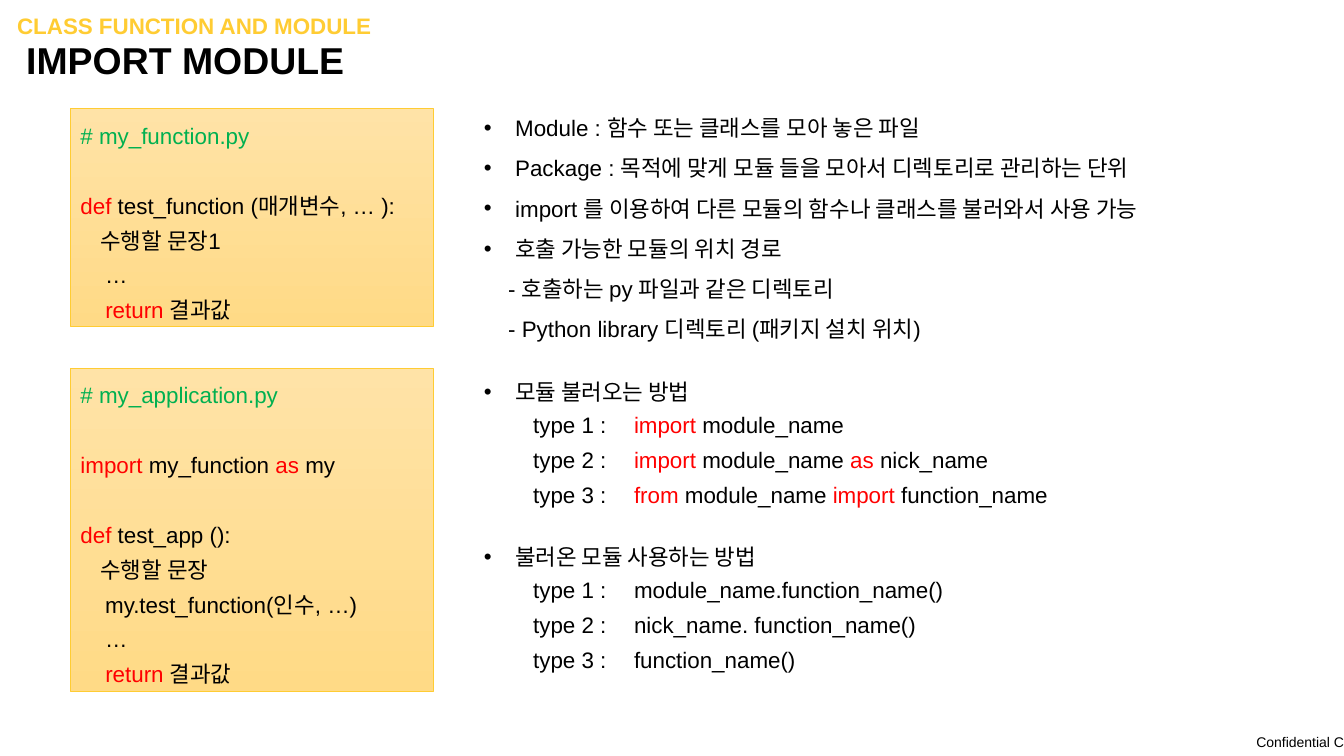
from pptx import Presentation
from pptx.dml.color import RGBColor
from pptx.enum.shapes import MSO_SHAPE as Shape
from pptx.enum.text import MSO_ANCHOR as Anchor, MSO_AUTO_SIZE as AutoSize, PP_ALIGN as Align
from pptx.oxml.ns import qn
from pptx.util import Inches, Pt
from lxml.etree import SubElement

BLACK = RGBColor(0x00, 0x00, 0x00)
RED = RGBColor(0xFF, 0x00, 0x00)
GREEN = RGBColor(0x00, 0xB0, 0x50)
GOLD = RGBColor(0xFF, 0xCC, 0x33)
SAND_LIGHT = RGBColor(0xFF, 0xE3, 0xA7)
SAND_DARK = RGBColor(0xFF, 0xDA, 0x86)

KICKER = "CLASS FUNCTION AND MODULE"
TITLE = "IMPORT MODULE"
FOOTER = "Confidential C"
KEYWORDS = {"def", "import", "as", "from", "return"}

FUNCTION_FILE = [
    ["# my_function.py"],
    [],
    ["def ", "test_function (매개변수, … ):"],
    ["    수행할 문장1"],
    ["    …"],
    ["    ", "return", " 결과값"],
]
APPLICATION_FILE = [
    ["# my_application.py"],
    [],
    ["import ", "my_function ", "as ", "my"],
    [],
    ["def ", "test_app ():"],
    ["    수행할 문장"],
    ["    my.test_function(인수, …)"],
    ["    …"],
    ["    ", "return", " 결과값"],
]
DEFINITIONS = [
    ["Module : 함수 또는 클래스를 모아 놓은 파일"],
    ["Package : 목적에 맞게 모듈 들을 모아서 디렉토리로 관리하는 단위"],
    ["import 를 이용하여 다른 모듈의 함수나 클래스를 불러와서 사용 가능"],
    ["호출 가능한 모듈의 위치 경로"],
    ["- 호출하는 py 파일과 같은 디렉토리"],
    ["- Python library 디렉토리 (패키지 설치 위치)"],
]
IMPORT_TYPES = [
    ["type 1 :\t", "import ", "module_name"],
    ["type 2 :\t", "import ", "module_name ", "as ", "nick_name"],
    ["type 3 :\t", "from ", "module_name ", "import ", "function_name"],
]
CALL_TYPES = [
    ["type 1 :\tmodule_name.function_name()"],
    ["type 2 :\tnick_name. function_name()"],
    ["type 3 :\tfunction_name()"],
]

WIDTH, HEIGHT = 13.33, 7.5
CODE_LEFT, CODE_WIDTH = 0.7, 3.6
LIST_LEFT, LIST_WIDTH = 4.7, 7.94
TYPE_LEFT, TYPE_WIDTH, TYPE_DROP = 5.19, 5.83, 0.38
CODE_LINE = 25

CODE_PANELS = [(1.08, 2.16, FUNCTION_FILE), (3.65, 3.21, APPLICATION_FILE)]
TYPE_GROUPS = [
    (3.57, "모듈 불러오는 방법", IMPORT_TYPES),
    (5.21, "불러온 모듈 사용하는 방법", CALL_TYPES),
]


def place(box, left, top, width, height):
    box.left, box.top = Inches(left), Inches(top)
    box.width, box.height = Inches(width), Inches(height)
    return box


def prepare(box, anchor=Anchor.TOP, margins=True):
    frame = box.text_frame
    frame.word_wrap = True
    frame.auto_size = AutoSize.NONE
    frame.vertical_anchor = anchor
    if not margins:
        frame.margin_left = frame.margin_right = 0
        frame.margin_top = frame.margin_bottom = 0
    return frame


def add_spans(para, texts, size=16, color=BLACK, bold=False):
    for text in texts:
        span = para.add_run()
        span.text = text
        font = span.font
        font.name, font.size, font.bold = "Arial", Pt(size), bold
        if text.strip() in KEYWORDS:
            font.color.rgb = RED
        elif text.startswith("#"):
            font.color.rgb = GREEN
        else:
            font.color.rgb = color


def format_para(para, spacing, bullet=False, indent=0.0, tab=None, before=0):
    properties = para._p.get_or_add_pPr()
    hanging = indent if bullet else 0
    properties.set("marL", str(Inches(indent)))
    properties.set("indent", str(-Inches(hanging)))
    para.alignment = Align.LEFT
    para.line_spacing = spacing
    para.space_before = Pt(before)
    if bullet:
        SubElement(properties, qn("a:buFont")).set("typeface", "Arial")
        SubElement(properties, qn("a:buChar")).set("char", "•")
    else:
        SubElement(properties, qn("a:buNone"))
    if tab:
        stops = SubElement(properties, qn("a:tabLst"))
        stop = SubElement(stops, qn("a:tab"))
        stop.set("pos", str(Inches(tab)))
        stop.set("algn", "l")


def next_para(frame):
    first = frame.paragraphs[0]
    return frame.add_paragraph() if first.runs else first


def write_code(frame, lines):
    gap = 0
    for line in lines:
        if not line:
            gap += CODE_LINE
            continue
        para = next_para(frame)
        format_para(para, 1.3, before=gap)
        add_spans(para, line)
        gap = 0


def write_bullets(frame, lines):
    for line in lines:
        para = next_para(frame)
        nested = line[0].startswith("-")
        format_para(para, 1.5, bullet=not nested, indent=0.24 if nested else 0.31)
        add_spans(para, line)


def write_types(frame, lines):
    for line in lines:
        para = next_para(frame)
        format_para(para, 1.3, tab=0.97)
        add_spans(para, line)


def write_heading(box, text, size, color, anchor):
    para = prepare(box, anchor, margins=False).paragraphs[0]
    format_para(para, 0.9)
    add_spans(para, [text], size, color, bold=True)


def add_text_box(slide, left, top, width, height):
    return slide.shapes.add_textbox(Inches(left), Inches(top), Inches(width), Inches(height))


def add_code_panel(slide, top, height, lines):
    panel = slide.shapes.add_shape(
        Shape.RECTANGLE, Inches(CODE_LEFT), Inches(top), Inches(CODE_WIDTH), Inches(height))
    panel.shadow.inherit = False
    panel.fill.gradient()
    panel.fill.gradient_angle = 270
    for stop, color in zip(panel.fill.gradient_stops, (SAND_LIGHT, SAND_DARK)):
        stop.color.rgb = color
    panel.line.color.rgb = GOLD
    panel.line.width = Pt(0.5)
    write_code(prepare(panel), lines)


def main():
    deck = Presentation()
    deck.slide_width, deck.slide_height = Inches(WIDTH), Inches(HEIGHT)
    slide = deck.slides.add_slide(deck.slide_layouts[3])
    title, kicker, definitions = slide.placeholders

    place(kicker, 0.17, 0.15, 12.81, 0.24)
    write_heading(kicker, KICKER, 16, GOLD, Anchor.TOP)
    place(title, 0.26, 0.43, 12.81, 0.38)
    write_heading(title, TITLE, 26.7, BLACK, Anchor.MIDDLE)

    for top, height, lines in CODE_PANELS:
        add_code_panel(slide, top, height, lines)

    place(definitions, LIST_LEFT, 0.95, LIST_WIDTH, 2.47)
    write_bullets(prepare(definitions), DEFINITIONS)

    for top, heading, lines in TYPE_GROUPS:
        box = add_text_box(slide, LIST_LEFT, top, LIST_WIDTH, 0.45)
        write_bullets(prepare(box), [[heading]])
        box = add_text_box(slide, TYPE_LEFT, top + TYPE_DROP, TYPE_WIDTH, 1.42)
        write_types(prepare(box), lines)

    footer = add_text_box(slide, WIDTH - 1.18, HEIGHT - 0.27, 1.18, 0.27)
    para = prepare(footer, Anchor.MIDDLE, margins=False).paragraphs[0]
    para.alignment = Align.RIGHT
    add_spans(para, [FOOTER], size=10)

    deck.save("out.pptx")


if __name__ == "__main__":
    main()
